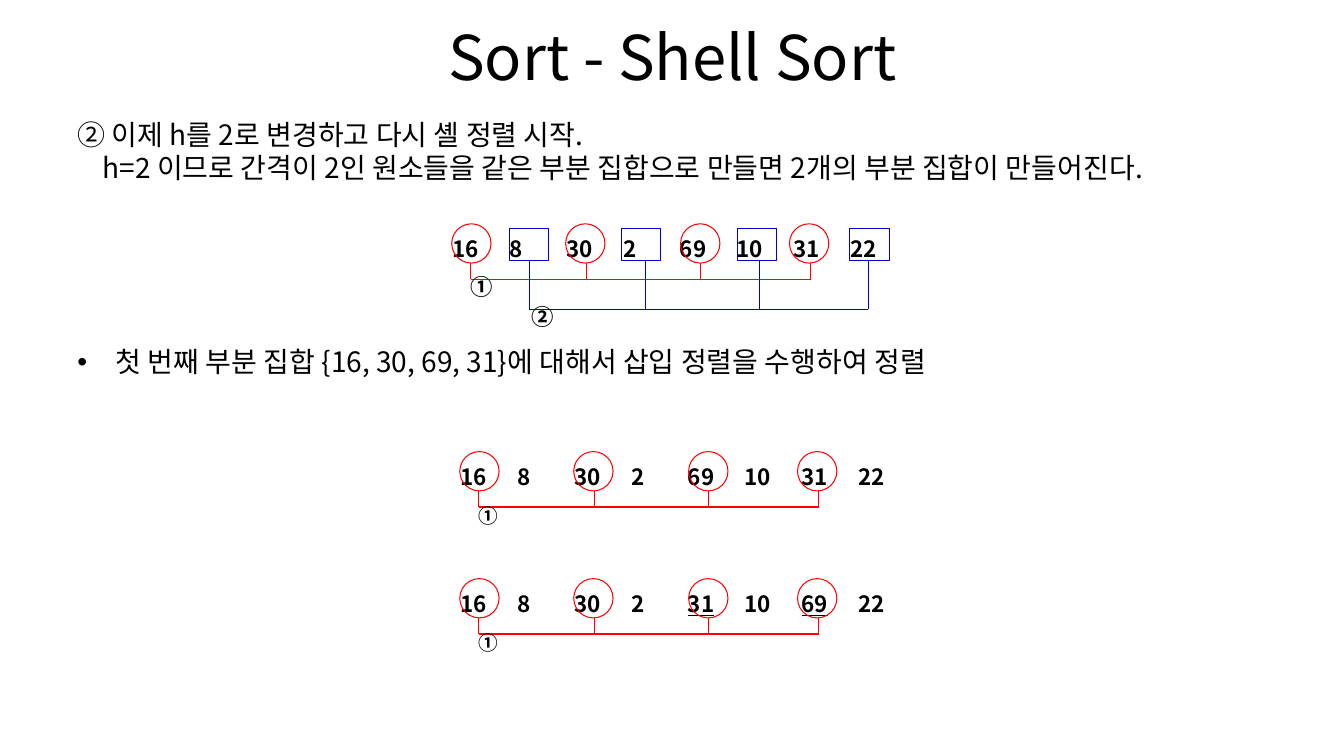
from lxml import etree
from pptx import Presentation
from pptx.dml.color import RGBColor
from pptx.enum.shapes import MSO_CONNECTOR, MSO_SHAPE
from pptx.enum.text import MSO_ANCHOR, PP_ALIGN
from pptx.oxml.ns import qn
from pptx.util import Inches, Pt

FONT = "Noto Sans CJK KR"
BLACK, WHITE, RED, BLUE = "000000", "FFFFFF", "FF0000", "0000CC"
LEFT, CENTER = PP_ALIGN.LEFT, PP_ALIGN.CENTER
TOP, MIDDLE = MSO_ANCHOR.TOP, MSO_ANCHOR.MIDDLE
OVAL, SQUARE = MSO_SHAPE.OVAL, MSO_SHAPE.RECTANGLE
STRAIGHT = MSO_CONNECTOR.STRAIGHT

# Subset geometry, measured from the left and top of its number row
CIRCLES = dict(kind=OVAL, color=RED, size=(0.39, 0.39), top=-0.03,
               lefts=(0.09, 1.22, 2.36, 3.44),
               stems=(0.28, 1.43, 2.56, 3.65), rail=0.52)
SQUARES = dict(kind=SQUARE, color=BLUE, size=(0.39, 0.31), top=0.02,
               lefts=(0.66, 1.77, 2.92, 4.04),
               stems=(0.86, 2.01, 3.14, 4.22), rail=0.82)


def rgb(value):
    return RGBColor.from_string(value)


def write(para, text, size=20, bold=False, underline=False, align=LEFT):
    para.alignment = align
    span = para.add_run()
    span.text = text
    font = span.font
    font.name, font.size, font.bold = FONT, Pt(size), bold
    font.underline = underline
    font.color.rgb = rgb(BLACK)
    east_asian = etree.SubElement(font._element, qn("a:ea"))
    east_asian.set("typeface", FONT)


def add_text(page, text, left, top, width, height, anchor=TOP, wrap=True, **style):
    box = page.shapes.add_textbox(
        Inches(left), Inches(top), Inches(width), Inches(height))
    frame = box.text_frame
    frame.word_wrap = wrap
    frame.vertical_anchor = anchor
    write(frame.paragraphs[0], text, **style)
    return frame


def set_indent(para, margin, first=0, bullet=None):
    props = para._p.get_or_add_pPr()
    props.set("marL", str(Inches(margin)))
    props.set("indent", str(Inches(first)))
    if bullet:
        font = etree.SubElement(props, qn("a:buFont"))
        font.set("typeface", "Arial")
        etree.SubElement(props, qn("a:buChar")).set("char", bullet)


def add_line(page, start, end, color):
    line = page.shapes.add_connector(
        STRAIGHT, *(Inches(value) for value in (*start, *end)))
    line.line.color.rgb = rgb(color)
    line.line.width = Pt(0.75)
    etree.SubElement(line._element.spPr, qn("a:effectLst"))


def add_outline(page, kind, left, top, width, height, color):
    shape = page.shapes.add_shape(
        kind, Inches(left), Inches(top), Inches(width), Inches(height))
    shape.shadow.inherit = False
    shape.fill.background()
    shape.line.color.rgb = rgb(color)
    shape.line.width = Pt(0.75)


def add_numbers(page, left, top, numbers, moved=()):
    table = page.shapes.add_table(
        1, len(numbers), Inches(left), Inches(top), Inches(4.51), Inches(0.37)).table
    table.first_row = table.horz_banding = False
    for cell, number in zip(table.rows[0].cells, numbers):
        cell.fill.solid()
        cell.fill.fore_color.rgb = rgb(WHITE)
        cell.vertical_anchor = MIDDLE
        para = cell.text_frame.paragraphs[0]
        para.space_before = Pt(3.2)
        write(para, str(number), size=16, bold=True, underline=number in moved)


def add_subset(page, left, top, kind, color, size, top_offset, lefts, stems, rail):
    """Outline each member and join the members with a rail below."""
    width, height = size
    rail_top = top + rail
    outline_top = top + top_offset
    for outline_left, stem in zip(lefts, stems):
        add_outline(page, kind, left + outline_left, outline_top, width, height, color)
        add_line(page, (left + stem, outline_top + height),
                 (left + stem, rail_top), color)
    add_line(page, (left + stems[0], rail_top), (left + stems[-1], rail_top), color)


def add_group(page, left, top, subset, label, label_at, label_size):
    geometry = dict(subset)
    add_subset(page, left, top, top_offset=geometry.pop("top"), **geometry)
    across, down = label_at
    add_text(page, label, left + across, top + down, 0.43, 0.37,
             wrap=False, size=label_size, bold=True)


def main():
    deck = Presentation()
    deck.slide_width, deck.slide_height = Inches(13.33), Inches(7.5)
    page = deck.slides.add_slide(deck.slide_layouts[6])

    # Title and explanation
    add_text(page, "Sort - Shell Sort", 0.67, 0.13, 12, 0.85,
             anchor=MIDDLE, size=44, align=CENTER)
    intro = add_text(page, "② 이제 h를 2로 변경하고 다시 셸 정렬 시작.",
                     0.67, 1.15, 12.16, 0.9)
    detail = intro.add_paragraph()
    write(detail, "h=2 이므로 간격이 2인 원소들을 같은 부분 집합으로 만들면 "
                  "2개의 부분 집합이 만들어진다.")
    set_indent(detail, 0.25)
    detail.space_before = Pt(2.5)
    step = add_text(page, "첫 번째 부분 집합 {16, 30, 69, 31}에 대해서 "
                          "삽입 정렬을 수행하여 정렬", 0.67, 3.41, 12.16, 0.5)
    set_indent(step.paragraphs[0], 0.38, -0.38, "•")
    for para in (*intro.paragraphs, *step.paragraphs):
        para.line_spacing = 0.9

    # Both subsets for h = 2
    before = (16, 8, 30, 2, 69, 10, 31, 22)
    after = (16, 8, 30, 2, 31, 10, 69, 22)
    add_numbers(page, 4.39, 2.25, before)
    add_group(page, 4.39, 2.25, CIRCLES, "①", (0.18, 0.41), 16)
    add_group(page, 4.39, 2.25, SQUARES, "②", (0.78, 0.71), 16)

    # First subset before and after its insertion sort
    for top, numbers, moved in ((4.51, before, ()), (5.77, after, (31, 69))):
        add_numbers(page, 4.47, top, numbers, moved)
        add_group(page, 4.47, top, CIRCLES, "①", (0.18, 0.44), 14)

    deck.save("out.pptx")


if __name__ == "__main__":
    main()
